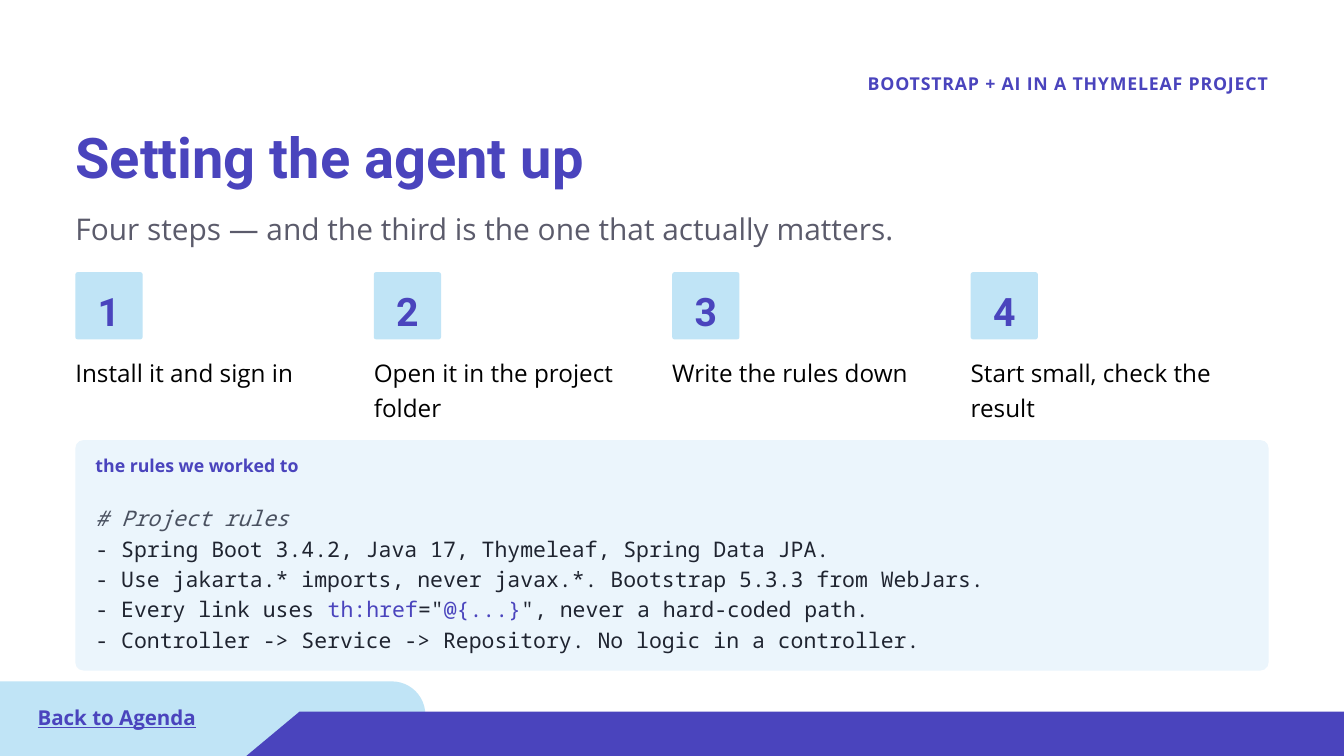
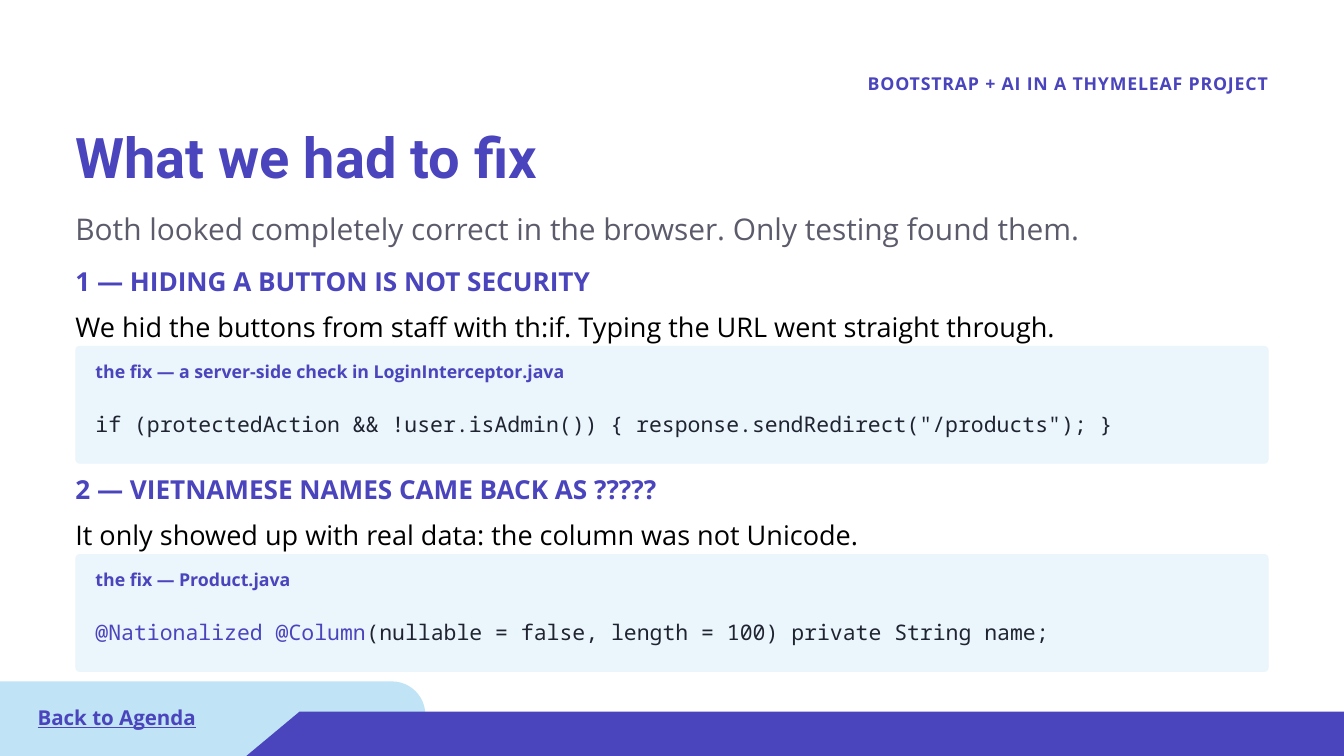
from pptx import Presentation
from pptx.dml.color import RGBColor
from pptx.enum.shapes import MSO_SHAPE
from pptx.enum.text import MSO_AUTO_SIZE, PP_ALIGN
from pptx.util import Cm, Pt

COLORS = {
    "indigo": "4A44BD", "sky": "C0E4F6", "pale": "EBF5FC", "grey": "5B5B6B",
    "black": "000000", "code": "1F2430", "comment": "4A5160",
}
HEADING, BODY, MONO = "Roboto", "Open Sans", "Noto Sans Mono"
SLIDE_WIDTH, SLIDE_HEIGHT, MARGIN = 50.8, 28.58, 2.85
CONTENT_WIDTH = SLIDE_WIDTH - 2 * MARGIN


def color(name):
    return RGBColor.from_string(COLORS[name])


class Deck:
    """Holds the style and the current slide; lengths are in centimetres."""

    def __init__(self):
        self.presentation = Presentation()
        self.presentation.slide_width = Cm(SLIDE_WIDTH)
        self.presentation.slide_height = Cm(SLIDE_HEIGHT)
        self.slide = None

    def shape(self, kind, left, top, width, height, fill, adjustment):
        shape = self.slide.shapes.add_shape(
            kind, Cm(left), Cm(top), Cm(width), Cm(height))
        shape.adjustments[0] = adjustment
        shape.shadow.inherit = False
        shape.fill.solid()
        shape.fill.fore_color.rgb = color(fill)
        shape.line.fill.background()

    def text(self, left, top, width, height, lines, size, fill="black", font=BODY,
             bold=False, underline=None, align=None, line_spacing=None, tracking=None):
        """Write lines: a string, or a list of lines of (text, colour) runs."""
        if isinstance(lines, str):
            lines = [[(lines, fill)]]
        box = self.slide.shapes.add_textbox(Cm(left), Cm(top), Cm(width), Cm(height))
        frame = box.text_frame
        frame.word_wrap = True
        frame.auto_size = MSO_AUTO_SIZE.SHAPE_TO_FIT_TEXT
        frame.margin_left = frame.margin_right = frame.margin_top = frame.margin_bottom = 0
        for index, runs in enumerate(lines):
            paragraph = frame.add_paragraph() if index else frame.paragraphs[0]
            paragraph.alignment = align
            paragraph.line_spacing = line_spacing
            for words, run_color in runs:
                run = paragraph.add_run()
                run.text = words
                run.font.name = font
                run.font.size = Pt(size)
                run.font.bold = bold
                run.font.italic = run_color == "comment"
                run.font.underline = underline
                run.font.color.rgb = color(run_color)
                if tracking:
                    run.font._element.set("spc", str(tracking))

    def new_slide(self, title, subtitle):
        layout = self.presentation.slide_layouts[6]
        self.slide = self.presentation.slides.add_slide(layout)
        # Footer
        self.shape(MSO_SHAPE.ROUNDED_RECTANGLE, -1.93, 25.76, 18.01, 2.82, "sky", 0.45)
        self.shape(MSO_SHAPE.PARALLELOGRAM, 9.19, 26.9, 44.17, 1.78, "indigo", 1.2)
        self.text(1.42, 26.75, 7.06, 0.79, "Back to Agenda", 22, "indigo",
                  bold=True, underline=True, line_spacing=Pt(23.4))
        # Running header
        self.text(32.03, 2.84, 15.92, 0.71, "BOOTSTRAP + AI IN A THYMELEAF PROJECT",
                  19, "indigo", bold=True, align=PP_ALIGN.RIGHT,
                  line_spacing=Pt(20.4), tracking=90)
        # Title and subtitle
        self.text(MARGIN, 4.52, CONTENT_WIDTH, 2.79, title, 60, "indigo", HEADING,
                  bold=True, line_spacing=1.05)
        self.text(MARGIN, 7.62, CONTENT_WIDTH, 1.52, subtitle, 32, "grey",
                  line_spacing=1.25)

    def step(self, left, number, label):
        tile, top = 2.54, 10.29
        self.shape(MSO_SHAPE.ROUNDED_RECTANGLE, left, top, tile, tile, "sky", 0.035)
        self.text(left, top + 0.56, tile, 1.78, str(number), 42, "indigo", HEADING,
                  bold=True, align=PP_ALIGN.CENTER)
        self.text(left, top + 3.05, 10.16, 2.79, label, 26, line_spacing=1.2)

    def code_panel(self, top, height, caption, lines):
        inset = 0.76
        left, width = MARGIN + inset, CONTENT_WIDTH - 2 * inset
        self.shape(MSO_SHAPE.ROUNDED_RECTANGLE, MARGIN, top, CONTENT_WIDTH, height,
                   "pale", 0.035)
        self.text(left, top + 0.56, width, 0.86, caption, 19, "indigo", bold=True)
        self.text(left, top + 2.29, width, height - 3.05, lines, 23, font=MONO,
                  line_spacing=1.18)

    def finding(self, top, heading, summary, caption, code):
        self.text(MARGIN, top, CONTENT_WIDTH, 1.27, heading, 28, "indigo", bold=True)
        self.text(MARGIN, top + 1.45, CONTENT_WIDTH, 1.27, summary, 29, line_spacing=1.2)
        self.code_panel(top + 3.05, 4.45, caption, [code])


def build_setup_slide(deck):
    deck.new_slide("Setting the agent up",
                   "Four steps — and the third is the one that actually matters.")
    steps = ["Install it and sign in", "Open it in the project folder",
             "Write the rules down", "Start small, check the result"]
    for index, label in enumerate(steps):
        deck.step(MARGIN + index * 11.28, index + 1, label)
    deck.code_panel(16.64, 8.71, "the rules we worked to", [
        [("# Project rules", "comment")],
        [("- Spring Boot 3.4.2, Java 17, Thymeleaf, Spring Data JPA.", "code")],
        [("- Use jakarta.* imports, never javax.*. Bootstrap 5.3.3 from WebJars.", "code")],
        [("- Every link uses ", "code"), ("th:href", "indigo"), ('="', "code"),
         ("@{...}", "indigo"), ('", never a hard-coded path.', "code")],
        [("- Controller -> Service -> Repository. No logic in a controller.", "code")],
    ])


def build_fixes_slide(deck):
    deck.new_slide("What we had to fix",
                   "Both looked completely correct in the browser. Only testing found them.")
    findings = [
        ("1 — HIDING A BUTTON IS NOT SECURITY",
         "We hid the buttons from staff with th:if. Typing the URL went straight through.",
         "the fix — a server-side check in LoginInterceptor.java",
         [('if (protectedAction && !user.isAdmin()) { response.sendRedirect("/products"); }',
           "code")]),
        ("2 — VIETNAMESE NAMES CAME BACK AS ?????",
         "It only showed up with real data: the column was not Unicode.",
         "the fix — Product.java",
         [("@Nationalized @Column", "indigo"),
          ("(nullable = false, length = 100) private String name;", "code")]),
    ]
    for index, finding in enumerate(findings):
        deck.finding(10.03 + index * 7.87, *finding)


def main():
    deck = Deck()
    build_setup_slide(deck)
    build_fixes_slide(deck)
    deck.presentation.save("out.pptx")


if __name__ == "__main__":
    main()
